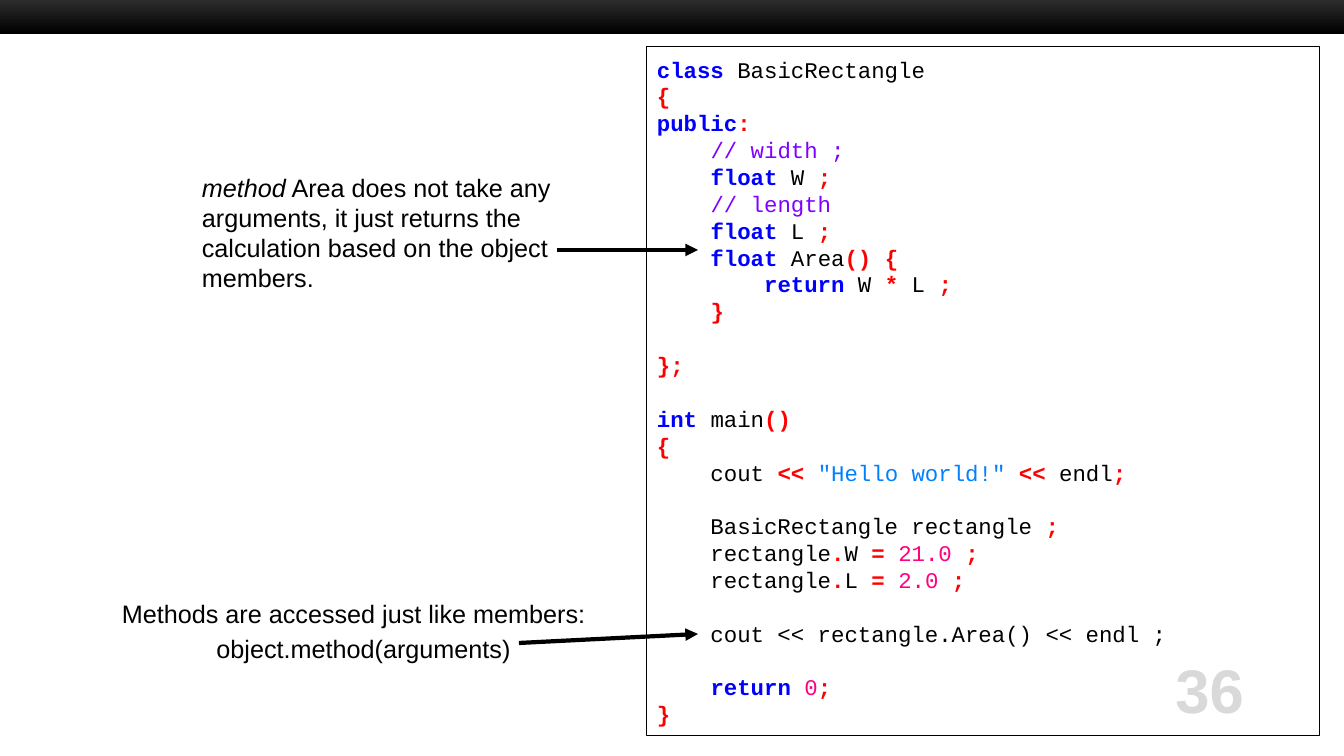
import pptx
import pptx.dml.color
import pptx.enum.shapes
import pptx.enum.text
import pptx.oxml.ns
import pptx.util
from lxml import etree

PX = 914400 / 100.8
ALIGN = pptx.enum.text.PP_ALIGN
MIDDLE = pptx.enum.text.MSO_ANCHOR.MIDDLE
RECT = pptx.enum.shapes.MSO_SHAPE.RECTANGLE


def px(*lengths):
    """Turn lengths in px into EMU."""
    return [pptx.util.Emu(round(n * PX)) for n in lengths]


def rgb(value):
    return pptx.dml.color.RGBColor.from_string(value)


prs = pptx.Presentation()
prs.slide_width, prs.slide_height = px(1344, 756)
s = prs.slides.add_slide(prs.slide_layouts[6])

# Top band
band = s.shapes.add_shape(RECT, *px(0, -5, 1344, 39))
band.shadow.inherit = False
band.line.fill.background()
band.fill.gradient()
band.fill.gradient_angle = 270
for stop, color in zip(band.fill.gradient_stops, ("333333", "000000")):
    stop.color.rgb = rgb(color)

# Code panel: runs are split by "|", each led by its style letter
STYLES = {  # letter: colour, bold
    "n": ("000000", False),  # plain
    "k": ("0000FF", True),   # keyword
    "o": ("FF0000", True),   # operator
    "c": ("8000FF", False),  # comment
    "s": ("0080FF", False),  # string
    "d": ("FF0080", False),  # number
}
CODE = """\
k:class|n: BasicRectangle
o:{
k:public|o::
n:    |c:// width ;
n:    |k:float|n: W |o:;
n:    |c:// length
n:    |k:float|n: L |o:;
k:    float|n: Area|o:()|n: |o:{
n:        |k:return|n: W |o:*|n: L |o:;
n:    |o:}

o:};

k:int|n: main|o:()
o:{
n:    cout |o:<<|n: |s:"Hello world!"|n: |o:<<|n: endl|o:;

n:    BasicRectangle rectangle |o:;
n:    rectangle|o:.|n:W |o:=|n: |d:21.0|n: |o:;
n:    rectangle|o:.|n:L |o:=|n: |d:2.0|n: |o:;

n:    cout << rectangle.Area() << endl ;

n:    |k:return|n: |d:0|o:;
o:}"""

panel = s.shapes.add_shape(RECT, *px(647, 47, 673, 689))
panel.shadow.inherit = False
panel.fill.background()
panel.line.color.rgb = rgb("000000")
panel.line.width = pptx.util.Pt(0.75)
tf = panel.text_frame
tf.word_wrap = True
tf.vertical_anchor = MIDDLE
for i, line in enumerate(CODE.split("\n")):
    p = tf.add_paragraph() if i else tf.paragraphs[0]
    p.alignment = ALIGN.LEFT
    p.line_spacing = pptx.util.Pt(19.2)
    p.font.name = "Courier New"
    p.font.size = pptx.util.Pt(16)
    for part in filter(None, line.split("|")):
        style, _, text = part.partition(":")
        color, bold = STYLES[style]
        r = p.add_run()
        r.text = text
        r.font.color.rgb = rgb(color)
        r.font.bold = bold

# Notes beside the code: box, then paragraphs of (alignment, runs of (text, italic))
NOTES = [
    ((192, 167, 392, 133), [
        (ALIGN.LEFT, [
            ("method", True),
            (" Area does not take any arguments, it just returns the "
             "calculation based on the object members.", False),
        ]),
    ]),
    ((112, 593, 503, 100), [
        (ALIGN.LEFT, [("Methods are accessed just like members:", False)]),
        (ALIGN.CENTER, [("object.method(arguments)", False)]),
    ]),
]
for box, paragraphs in NOTES:
    tf = s.shapes.add_textbox(*px(*box)).text_frame
    tf.word_wrap = True
    for i, (alignment, runs) in enumerate(paragraphs):
        p = tf.add_paragraph() if i else tf.paragraphs[0]
        p.alignment = alignment
        p.line_spacing = pptx.util.Pt(21.6)
        p.space_before = pptx.util.Pt(3.6 if i else 0)
        p.font.name = "Arial"
        p.font.size = pptx.util.Pt(18)
        p.font.color.rgb = rgb("000000")
        for text, italic in runs:
            r = p.add_run()
            r.text = text
            r.font.italic = italic

# Arrows from the notes to the code
for ends in ((557, 250, 698, 250), (519, 643, 698, 634)):
    arrow = s.shapes.add_connector(
        pptx.enum.shapes.MSO_CONNECTOR.STRAIGHT, *px(*ends))
    arrow.line.color.rgb = rgb("000000")
    arrow.line.width = pptx.util.Pt(3)
    etree.SubElement(arrow.line._get_or_add_ln(),
                     pptx.oxml.ns.qn("a:tailEnd"), type="triangle")
    etree.SubElement(arrow._element.spPr, pptx.oxml.ns.qn("a:effectLst"))

# Slide number
tf = s.shapes.add_textbox(*px(1041, 651, 213, 76)).text_frame
tf.word_wrap = False
tf.margin_top = tf.margin_bottom = 0
tf.vertical_anchor = MIDDLE
p = tf.paragraphs[0]
p.text = "36"
p.alignment = ALIGN.RIGHT
p.font.name = "Arial"
p.font.size = pptx.util.Pt(44)
p.font.bold = True
p.font.color.rgb = rgb("D9D9D9")

prs.save("out.pptx")
